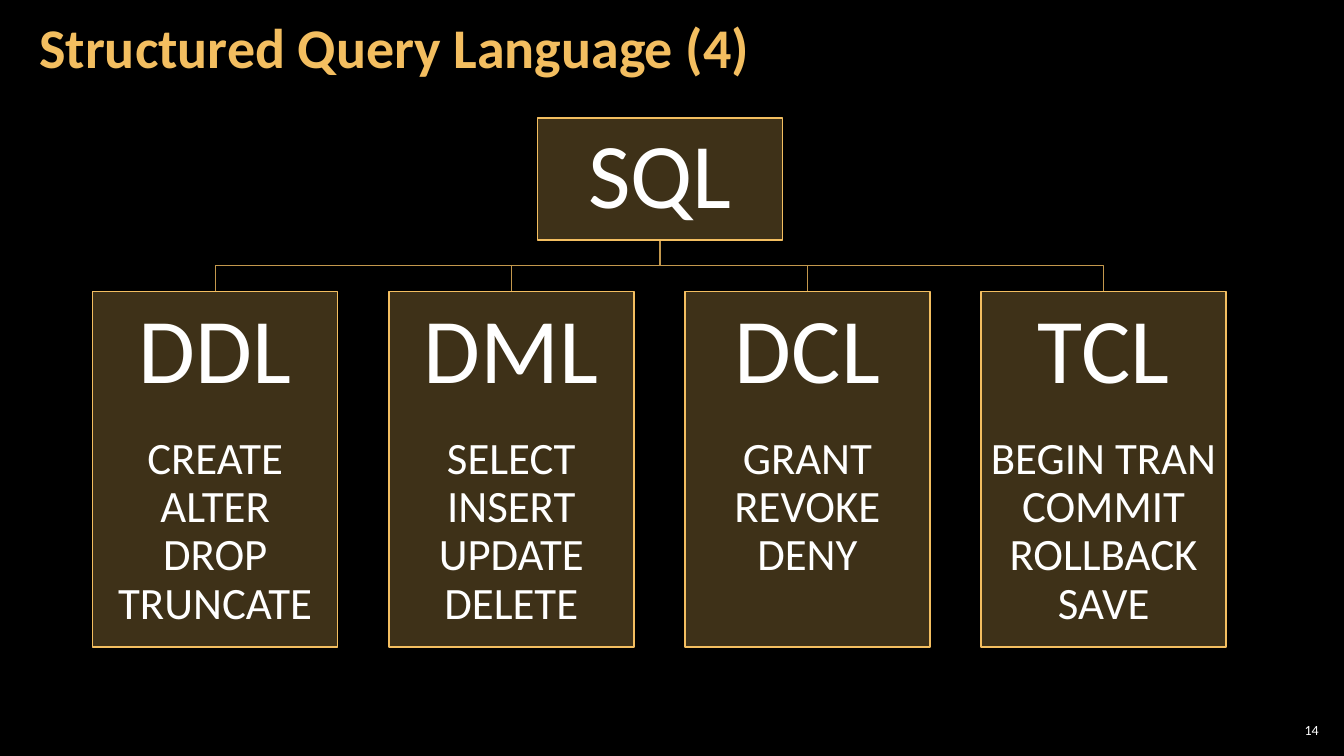
"""Build a slide showing the four sublanguages of SQL as a tree."""
import pptx
import pptx.dml.color
import pptx.enum.shapes
import pptx.enum.text
import pptx.oxml
import pptx.oxml.ns
import pptx.util
from pptx.util import Inches

BLACK = pptx.dml.color.RGBColor(0x00, 0x00, 0x00)
WHITE = pptx.dml.color.RGBColor(0xFF, 0xFF, 0xFF)
GOLD = pptx.dml.color.RGBColor(0xF3, 0xBE, 0x60)
BRANCH_GOLD = pptx.dml.color.RGBColor(0xC3, 0x98, 0x4D)
ALIGN = pptx.enum.text.PP_ALIGN
ANCHOR = pptx.enum.text.MSO_ANCHOR

BOX_WIDTH = 2.43
ROOT_LEFT, ROOT_TOP, ROOT_HEIGHT = 5.33, 1.17, 1.21
GROUP_LEFT, GROUP_TOP, GROUP_HEIGHT = 0.92, 2.89, 3.53
GROUP_STEP = 2.937
GROUPS = [
    ("DDL", ["CREATE", "ALTER", "DROP", "TRUNCATE"]),
    ("DML", ["SELECT", "INSERT", "UPDATE", "DELETE"]),
    ("DCL", ["GRANT", "REVOKE", "DENY"]),
    ("TCL", ["BEGIN TRAN", "COMMIT", "ROLLBACK", "SAVE"]),
]


def write(paragraph, text, size, color=WHITE, bold=False, align=ALIGN.LEFT,
          line_spacing=0.9, space_after=0):
    """Fill a paragraph with formatted text."""
    paragraph.text = text
    paragraph.alignment = align
    paragraph.line_spacing = line_spacing
    paragraph.space_after = pptx.util.Pt(space_after)
    for run in paragraph.runs:
        run.font.name = "Calibri"
        run.font.size = pptx.util.Pt(size)
        run.font.bold = bold
        run.font.color.rgb = color


def set_frame(frame, anchor, side, top, bottom):
    """Set wrapping, anchor and insets of a text frame."""
    frame.word_wrap = True
    frame.vertical_anchor = anchor
    frame.margin_left = frame.margin_right = Inches(side)
    frame.margin_top, frame.margin_bottom = Inches(top), Inches(bottom)


def add_label(slide, left, top, width, height, text, side, **text_format):
    """Add a vertically centred line of text."""
    label = slide.shapes.add_textbox(
        Inches(left), Inches(top), Inches(width), Inches(height))
    set_frame(label.text_frame, ANCHOR.MIDDLE, side, 0.04, 0.04)
    write(label.text_frame.paragraphs[0], text, **text_format)


def add_branch(slide, start_x, start_y, end_x, end_y):
    """Draw an elbow line from the root down to a group."""
    middle_y = (start_y + end_y) / 2
    builder = slide.shapes.build_freeform(Inches(start_x), Inches(start_y))
    bends = [(start_x, middle_y), (end_x, middle_y), (end_x, end_y)]
    builder.add_line_segments(
        [(Inches(x), Inches(y)) for x, y in bends], close=False)
    branch = builder.convert_to_shape()
    branch.shadow.inherit = False
    branch.fill.background()
    branch.line.color.rgb = BRANCH_GOLD
    branch.line.width = pptx.util.Pt(1)


def add_box(slide, left, top, height, heading, commands=(),
            anchor=ANCHOR.TOP, top_inset=0.12):
    """Add a translucent box with a heading and its commands."""
    box = slide.shapes.add_shape(
        pptx.enum.shapes.MSO_SHAPE.RECTANGLE,
        Inches(left), Inches(top), Inches(BOX_WIDTH), Inches(height))
    box.shadow.inherit = False
    box.fill.solid()
    box.fill.fore_color.rgb = GOLD
    fill_color = box.fill._xPr.find(".//" + pptx.oxml.ns.qn("a:srgbClr"))
    alpha = pptx.oxml.parse_xml(
        "<a:alpha %s val='26000'/>" % pptx.oxml.ns.nsdecls("a"))
    fill_color.append(alpha)
    box.line.color.rgb = GOLD
    box.line.width = pptx.util.Pt(1)
    frame = box.text_frame
    set_frame(frame, anchor, 0.05, top_inset, 0.05)
    write(frame.paragraphs[0], heading, size=66, align=ALIGN.CENTER,
          space_after=23)
    if commands:
        write(frame.add_paragraph(), "\v".join(commands), size=32,
              align=ALIGN.CENTER)


def main():
    """Build and save the slide."""
    deck = pptx.Presentation()
    deck.slide_width, deck.slide_height = Inches(13.33), Inches(7.5)
    slide = deck.slides.add_slide(deck.slide_layouts[6])
    slide.background.fill.solid()
    slide.background.fill.fore_color.rgb = BLACK

    add_label(slide, 12.65, 7.14, 0.47, 0.21, "14", side=0.04, size=10,
              align=ALIGN.RIGHT, line_spacing=1.0)
    add_label(slide, 0.27, -0.11, 10.47, 1.21, "Structured Query Language (4)",
              side=0.12, size=40, color=GOLD, bold=True)

    group_lefts = [GROUP_LEFT + i * GROUP_STEP for i in range(len(GROUPS))]
    for left in reversed(group_lefts):
        add_branch(slide, ROOT_LEFT + BOX_WIDTH / 2, ROOT_TOP + ROOT_HEIGHT,
                   left + BOX_WIDTH / 2, GROUP_TOP)
    add_box(slide, ROOT_LEFT, ROOT_TOP, ROOT_HEIGHT, "SQL",
            anchor=ANCHOR.MIDDLE, top_inset=0.05)
    for left, (heading, commands) in zip(group_lefts, GROUPS):
        add_box(slide, left, GROUP_TOP, GROUP_HEIGHT, heading, commands)
    deck.save("out.pptx")


if __name__ == "__main__":
    main()
